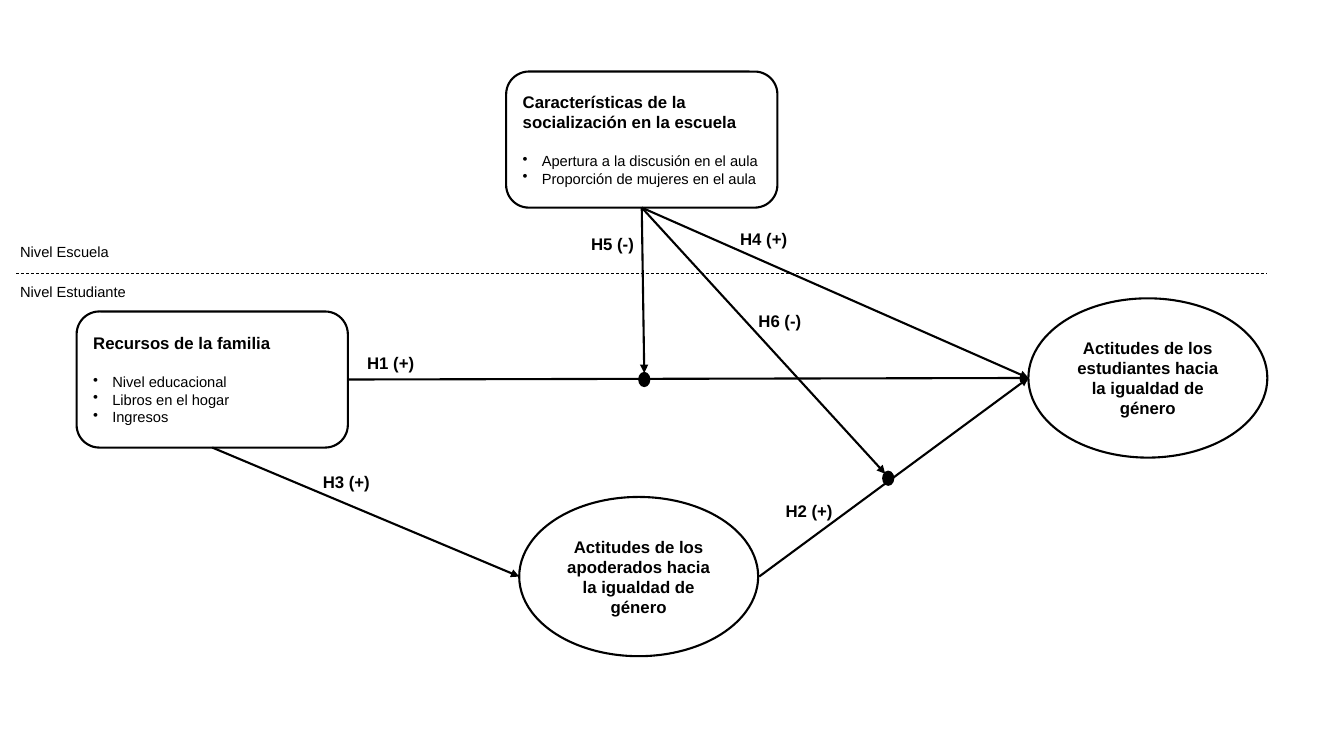
from lxml import etree
from pptx import Presentation
from pptx.dml.color import RGBColor
from pptx.enum.dml import MSO_LINE
from pptx.enum.shapes import MSO_CONNECTOR, MSO_SHAPE
from pptx.enum.text import MSO_ANCHOR, PP_ALIGN
from pptx.oxml.ns import qn
from pptx.util import Inches, Pt

TOP, LEFT, BOTTOM, RIGHT = range(4)


def color(hex_value):
    return RGBColor.from_string(hex_value)


class Diagram:
    ink = "000000"
    font = "Arial"
    heading_size = 12
    detail_size = 10.5
    line_width = 1.5

    def __init__(self, slide):
        self.slide = slide

    def outline(self, preset, left, top, width, height, bordered=True):
        shape = self.slide.shapes.add_shape(
            preset, Inches(left), Inches(top), Inches(width), Inches(height))
        shape.shadow.inherit = False
        shape.fill.background()
        if bordered:
            shape.line.color.rgb = color(self.ink)
            shape.line.width = Pt(self.line_width)
        else:
            shape.line.fill.background()
        frame = shape.text_frame
        frame.word_wrap = True
        frame.vertical_anchor = MSO_ANCHOR.MIDDLE
        return shape

    def set_text(self, paragraph, text, size, bold, align):
        paragraph.text = text
        paragraph.alignment = align
        paragraph.font.name = self.font
        paragraph.font.size = Pt(size)
        paragraph.font.bold = bold
        paragraph.font.color.rgb = color(self.ink)

    def factor(self, left, top, heading, details):
        box = self.outline(MSO_SHAPE.ROUNDED_RECTANGLE, left, top, 2.69, 1.35)
        frame = box.text_frame
        self.set_text(frame.paragraphs[0], heading, self.heading_size, True, PP_ALIGN.LEFT)
        for position, detail in enumerate(details):
            item = frame.add_paragraph()
            self.set_text(item, detail, self.detail_size, False, PP_ALIGN.LEFT)
            if position == 0:
                item.space_before = Pt(14)
            properties = item._p.get_or_add_pPr()
            properties.set("marL", str(Inches(0.19)))
            properties.set("indent", str(-Inches(0.19)))
            bullet = etree.Element(qn("a:buChar"), char="•")
            properties.find(qn("a:defRPr")).addprevious(bullet)
        return box

    def attitude(self, left, top, text):
        oval = self.outline(MSO_SHAPE.OVAL, left, top, 2.37, 1.58)
        self.set_text(oval.text_frame.paragraphs[0], text, self.heading_size, True, PP_ALIGN.CENTER)

    def hypothesis(self, left, top, text):
        label = self.outline(MSO_SHAPE.ROUNDED_RECTANGLE, left, top, 0.99, 0.53, False)
        self.set_text(label.text_frame.paragraphs[0], text, self.heading_size, True, PP_ALIGN.CENTER)

    def level(self, top, text):
        label = self.outline(MSO_SHAPE.ROUNDED_RECTANGLE, 0.08, top, 1.64, 0.47, False)
        self.set_text(label.text_frame.paragraphs[0], text, self.detail_size, False, PP_ALIGN.LEFT)

    def moderator(self, left, top):
        dot = self.outline(MSO_SHAPE.OVAL, left, top, 0.1, 0.13)
        dot.fill.solid()
        dot.fill.fore_color.rgb = color(self.ink)

    def line(self, start, end, width):
        connector = self.slide.shapes.add_connector(
            MSO_CONNECTOR.STRAIGHT, *(Inches(value) for value in start + end))
        connector.line.color.rgb = color(self.ink)
        connector.line.width = Pt(width)
        etree.SubElement(connector._element.spPr, qn("a:effectLst"))
        return connector

    def arrow(self, start, end, source=None, side=None):
        connector = self.line(start, end, self.line_width)
        if source is not None:
            connector.begin_connect(source, side)
        etree.SubElement(connector.line._get_or_add_ln(), qn("a:tailEnd"), type="triangle")

    def divider(self, start, end):
        self.line(start, end, 0.5).line.dash_style = MSO_LINE.DASH


def main():
    presentation = Presentation()
    presentation.slide_width = Inches(13.33)
    presentation.slide_height = Inches(7.5)
    diagram = Diagram(presentation.slides.add_slide(presentation.slide_layouts[6]))

    diagram.attitude(10.2, 2.96, "Actitudes de los estudiantes hacia la igualdad de género")
    diagram.attitude(5.15, 4.93, "Actitudes de los apoderados hacia la igualdad de género")
    school = diagram.factor(
        5.02, 0.71, "Características de la socialización en la escuela",
        ["Apertura a la discusión en el aula", "Proporción de mujeres en el aula"])
    family = diagram.factor(
        0.76, 3.09, "Recursos de la familia",
        ["Nivel educacional", "Libros en el hogar", "Ingresos"])

    student_attitude = (10.2, 3.75)
    school_exit = (6.36, 2.06)
    diagram.arrow((7.53, 5.72), student_attitude)
    diagram.arrow((3.45, 3.77), student_attitude, family, RIGHT)
    diagram.arrow((2.11, 4.44), (5.15, 5.72), family, BOTTOM)
    for target in (student_attitude, (6.39, 3.7), (8.78, 4.7)):
        diagram.arrow(school_exit, target, school, BOTTOM)

    diagram.moderator(6.34, 3.7)
    diagram.moderator(8.76, 4.68)

    for left, top, text in (
        (3.38, 3.33, "H1 (+)"),
        (7.53, 4.8, "H2 (+)"),
        (2.94, 4.52, "H3 (+)"),
        (7.08, 2.1, "H4 (+)"),
        (5.58, 2.15, "H5 (-)"),
        (7.24, 2.92, "H6 (-)"),
    ):
        diagram.hypothesis(left, top, text)

    diagram.divider((0.16, 2.71), (12.57, 2.71))
    diagram.level(2.26, "Nivel Escuela")
    diagram.level(2.66, "Nivel Estudiante")

    presentation.save("out.pptx")


if __name__ == "__main__":
    main()
